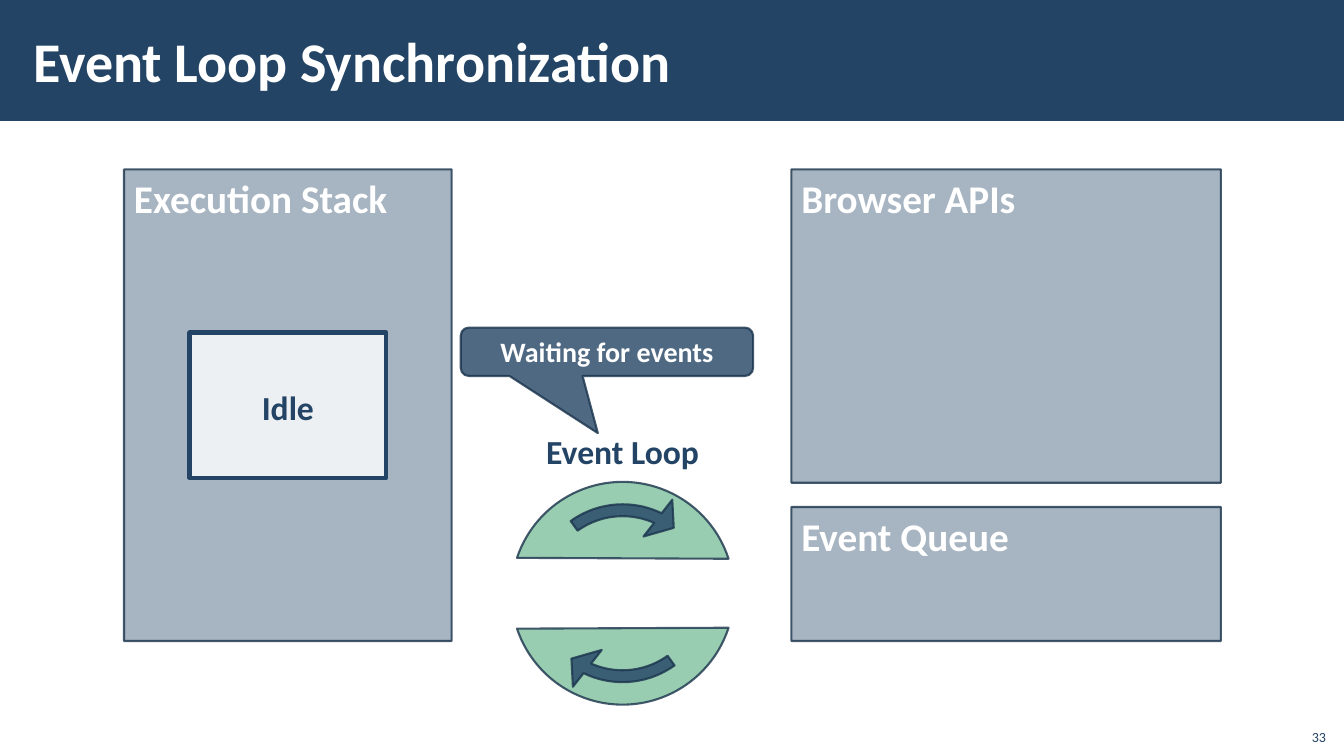
"""Build the event loop synchronization slide."""
from lxml import etree
from pptx import Presentation
from pptx.dml.color import RGBColor
from pptx.enum import shapes, text
from pptx.oxml.ns import qn
from pptx.util import Inches, Pt

NAVY = RGBColor(0x23, 0x44, 0x65)
EDGE = RGBColor(0x1A, 0x33, 0x4C)
GREEN = RGBColor(0x00, 0x84, 0x3C)
WHITE = RGBColor(0xFF, 0xFF, 0xFF)
SHAPE = shapes.MSO_SHAPE
ANCHOR = text.MSO_ANCHOR
ALIGN = text.PP_ALIGN
WIDE_INSETS = (0.16, 0.12)
CHORD = (11.113, 97.179)
CIRCULAR_ARROW = (0.056, 7.733, 123.085, 86.546, 0.11)


def set_opacity(sp, *percents):
    """Set the opacity of the fill and then of the line."""
    colours = sp._element.spPr.iter(qn("a:srgbClr"))
    for colour, percent in zip(colours, percents):
        etree.SubElement(colour, qn("a:alpha"), val=str(percent * 1000))


def add_figure(parent, kind, box, fill, opacity, line=EDGE, width=1.5,
               line_opacity=80, adj=(), rotation=0):
    """Add a filled and outlined preset shape."""
    sp = parent.add_shape(kind, *map(Inches, box))
    sp.shadow.inherit = False
    for i, value in enumerate(adj):
        sp.adjustments[i] = value
    sp.rotation = rotation
    sp.fill.solid()
    sp.fill.fore_color.rgb = fill
    sp.line.color.rgb = line
    sp.line.width = Pt(width)
    set_opacity(sp, opacity, line_opacity)
    return sp


def write(sp, words, size, color=WHITE, bold=True, align=ALIGN.LEFT,
          anchor=ANCHOR.TOP, insets=(0.1, 0.05), wrap=True, spacing=None):
    """Write one formatted paragraph into a shape."""
    tf = sp.text_frame
    tf.word_wrap = wrap
    tf.vertical_anchor = anchor
    tf.margin_left = tf.margin_right = Inches(insets[0])
    tf.margin_top = tf.margin_bottom = Inches(insets[1])
    p = tf.paragraphs[0]
    p.alignment = align
    p.line_spacing = spacing
    r = p.add_run()
    r.text = words
    r.font.name = "Calibri"
    r.font.size = Pt(size)
    r.font.bold = bold
    r.font.color.rgb = color


def add_label(s, box, words, size, **style):
    """Add a text box with one paragraph."""
    sp = s.shapes.add_textbox(*map(Inches, box))
    write(sp, words, size, NAVY, **style)
    return sp


def add_header(s):
    """Add the header band behind the title, and write the title."""
    band = s.shapes.add_shape(SHAPE.RECTANGLE, 0, 0, Inches(13.34), Inches(1.2))
    band.shadow.inherit = False
    band.fill.solid()
    band.fill.fore_color.rgb = NAVY
    band.line.fill.background()
    s.shapes._spTree.insert(2, band._element)
    title = s.shapes.title
    title.left, title.top = Inches(0.21), Inches(0.11)
    title.width, title.height = Inches(10.63), Inches(0.97)
    write(title, "Event Loop Synchronization", 40, anchor=ANCHOR.MIDDLE,
          insets=(0.12, 0.04))


def add_panel(s, box, heading):
    """Add a translucent panel with its heading."""
    sp = add_figure(s.shapes, SHAPE.RECTANGLE, box, NAVY, 40)
    write(sp, heading, 28)


def add_loop(s):
    """Add the two half discs and their circular arrows as a group."""
    group = s.shapes.add_group_shape().shapes
    for flipped in (False, True):
        half = add_figure(group, SHAPE.CHORD, (5.07, 4.78, 2.21, 2.21), GREEN,
                          40, adj=CHORD, rotation=180)
        if flipped:
            half._element.spPr.xfrm.set("flipV", "1")
    for rotation in (270, 90):
        add_figure(group, SHAPE.CIRCULAR_ARROW, (5.12, 4.83, 2.11, 2.11), NAVY,
                   80, adj=CIRCULAR_ARROW, rotation=rotation)


def main():
    """Build and save the slide."""
    prs = Presentation()
    prs.slide_width, prs.slide_height = Inches(13.33), Inches(7.5)
    s = prs.slides.add_slide(prs.slide_layouts[5])
    add_header(s)
    add_label(s, (12.85, 7.12, 0.4, 0.32), "33", 10, bold=False,
              align=ALIGN.RIGHT, anchor=ANCHOR.BOTTOM)

    add_panel(s, (1.23, 1.68, 3.25, 4.68), "Execution Stack")
    add_panel(s, (7.85, 1.68, 4.26, 3.11), "Browser APIs")
    add_panel(s, (7.85, 5.03, 4.26, 1.33), "Event Queue")

    loop_name = add_label(s, (5.25, 4.12, 1.85, 0.66), "Event Loop", 24,
                          align=ALIGN.CENTER, insets=WIDE_INSETS, wrap=False,
                          spacing=1.1)
    loop_name.text_frame.auto_size = text.MSO_AUTO_SIZE.SHAPE_TO_FIT_TEXT
    add_loop(s)

    idle = add_figure(s.shapes, SHAPE.RECTANGLE, (1.88, 3.3, 1.95, 1.44), WHITE,
                      80, line=NAVY, width=3, line_opacity=100)
    write(idle, "Idle", 24, NAVY, align=ALIGN.CENTER, anchor=ANCHOR.MIDDLE,
          insets=WIDE_INSETS, spacing=1.1)
    callout = add_figure(s.shapes, SHAPE.ROUNDED_RECTANGULAR_CALLOUT,
                         (4.57, 3.25, 2.9, 0.48), NAVY, 80,
                         adj=(-0.031, 1.682, 0.167))
    write(callout, "Waiting for events", 20, align=ALIGN.CENTER,
          anchor=ANCHOR.MIDDLE)
    callout.text_frame.auto_size = text.MSO_AUTO_SIZE.SHAPE_TO_FIT_TEXT
    prs.save("out.pptx")


if __name__ == "__main__":
    main()
